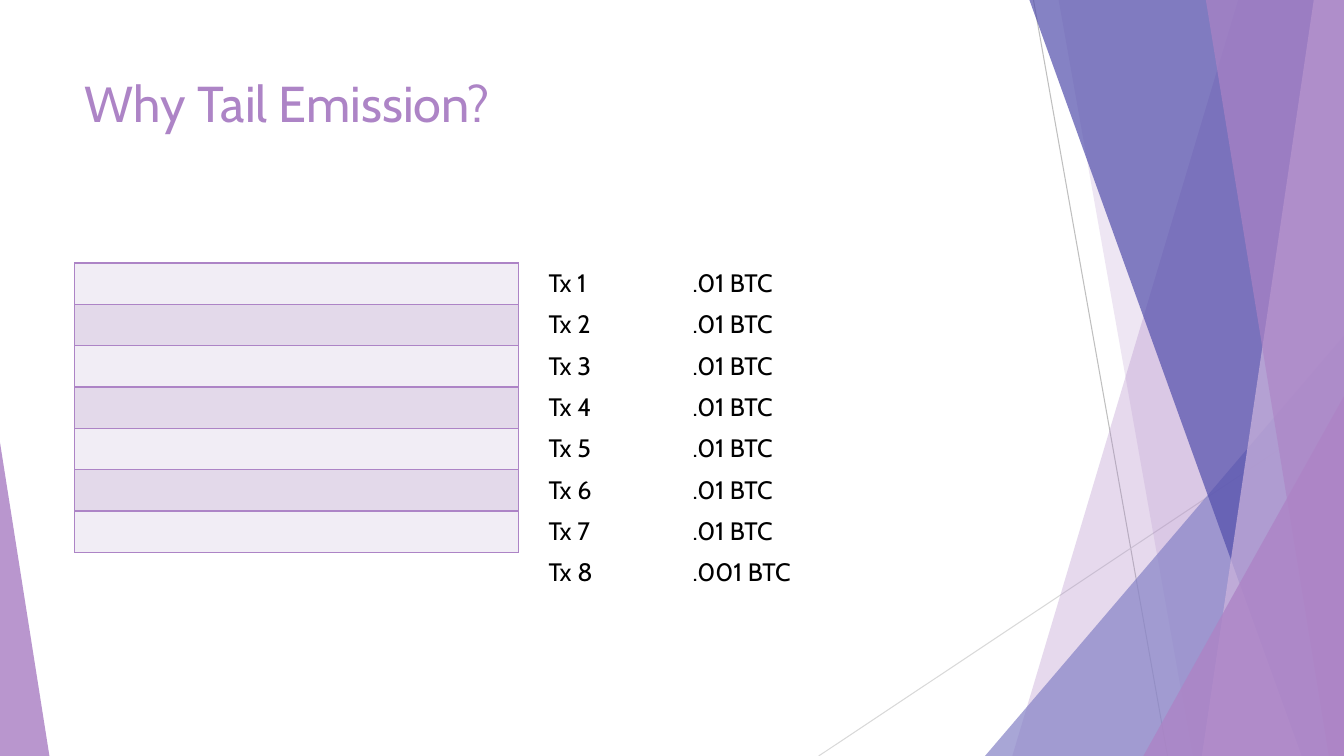
from dataclasses import dataclass

from lxml import etree
from pptx import Presentation
from pptx.dml.color import RGBColor
from pptx.enum import shapes, text
from pptx.oxml import ns
from pptx.util import Inches, Pt

FONT = "Cabin"
ORCHID = RGBColor(0xAD, 0x84, 0xC6)
PALE_ORCHID = RGBColor(0xCE, 0xB5, 0xDD)
PERIWINKLE = RGBColor(0x87, 0x84, 0xC7)
INDIGO = RGBColor(0x52, 0x4E, 0xAB)
GREY = RGBColor(0xBF, 0xBF, 0xBF)
LIGHT_GREY = RGBColor(0xD9, 0xD9, 0xD9)
BAND_LIGHT = RGBColor(0xF1, 0xED, 0xF5)
BAND_DARK = RGBColor(0xE3, 0xD9, 0xEA)
BLACK = RGBColor(0, 0, 0)

WIDTH, HEIGHT = 13.33, 7.5
ROW_HEIGHT = 0.41
TABLES_TOP = 2.61
BLOCK_ROWS = 7
FEES = [".01 BTC"] * 7 + [".001 BTC"]


@dataclass
class Ray:
    start: tuple[float, float]
    end: tuple[float, float]
    color: RGBColor


@dataclass
class Facet:
    """Band from the slide's right edge to a slanted left edge."""
    top_x: float
    bottom_x: float
    color: RGBColor
    opacity: int


@dataclass
class Corner:
    """Right triangle standing on the slide's bottom edge."""
    left: float
    top: float
    width: float
    apex: float
    color: RGBColor
    opacity: int


RAYS = [
    Ray((10.25, 0), (11.58, HEIGHT), GREY),
    Ray((WIDTH, 4.03), (8.12, HEIGHT), LIGHT_GREY),
]
PANELS = [
    Facet(12.28, 10.04, ORCHID, 30),
    Facet(10.5, 11.83, ORCHID, 20),
    Corner(9.77, 3.33, 3.56, 1, PERIWINKLE, 72),
    Facet(10.21, 12.91, INDIGO, 70),
    Facet(13.03, 11.92, PALE_ORCHID, 70),
    Facet(11.96, 13.18, ORCHID, 65),
    Corner(11.34, 3.93, 1.99, 1, ORCHID, 80),
    Corner(0, 4.39, 0.49, 0, ORCHID, 85),
]


def draw_ray(slide, ray: Ray) -> None:
    line = slide.shapes.add_connector(
        shapes.MSO_CONNECTOR.STRAIGHT,
        *(Inches(v) for v in ray.start + ray.end))
    line.line.color.rgb = ray.color
    line.line.width = Pt(0.75)
    etree.SubElement(line.element.spPr, ns.qn("a:effectLst"))


def draw_panel(slide, panel: Facet | Corner) -> None:
    if isinstance(panel, Facet):
        outline = slide.shapes.build_freeform(
            Inches(panel.top_x), 0, scale=1.0)
        corners = [(WIDTH, 0), (WIDTH, HEIGHT), (panel.bottom_x, HEIGHT)]
        outline.add_line_segments([(Inches(x), Inches(y)) for x, y in corners])
        shape = outline.convert_to_shape()
    else:
        shape = slide.shapes.add_shape(
            shapes.MSO_SHAPE.ISOSCELES_TRIANGLE,
            Inches(panel.left), Inches(panel.top),
            Inches(panel.width), Inches(HEIGHT - panel.top))
        shape.adjustments[0] = panel.apex
    shape.shadow.inherit = False
    shape.line.fill.background()
    shape.fill.solid()
    shape.fill.fore_color.rgb = panel.color
    color = shape.element.spPr.find(ns.qn("a:solidFill"))[0]
    etree.SubElement(color, ns.qn("a:alpha"), val=str(panel.opacity * 1000))


def add_run(paragraph, words: str, size: int, color: RGBColor) -> None:
    run = paragraph.add_run()
    run.text = words
    run.font.name = FONT
    run.font.size = Pt(size)
    run.font.color.rgb = color


def add_plain_table(slide, rows: int, left: float, widths: list[float]):
    table = slide.shapes.add_table(
        rows, len(widths), Inches(left), Inches(TABLES_TOP),
        Inches(sum(widths)), Inches(rows * ROW_HEIGHT)).table
    table.first_row = table.horz_banding = False
    for column, width in zip(table.columns, widths):
        column.width = Inches(width)
    for row in table.rows:
        row.height = Inches(ROW_HEIGHT)
    return table


def add_borders(cell, color: RGBColor) -> None:
    properties = cell._tc.get_or_add_tcPr()
    for side in ("lnL", "lnR", "lnT", "lnB"):
        border = etree.SubElement(
            properties, ns.qn(f"a:{side}"), w=str(Pt(1)))
        fill = etree.SubElement(border, ns.qn("a:solidFill"))
        etree.SubElement(fill, ns.qn("a:srgbClr"), val=str(color))


def main() -> None:
    deck = Presentation()
    deck.slide_width, deck.slide_height = Inches(WIDTH), Inches(HEIGHT)
    slide = deck.slides.add_slide(deck.slide_layouts[5])

    # Faceted background
    for ray in RAYS:
        draw_ray(slide, ray)
    for panel in PANELS:
        draw_panel(slide, panel)

    # Title, in front of the background
    title = slide.shapes.title
    slide.shapes.element.append(title.element)
    title.left, title.top = Inches(0.74), Inches(0.67)
    title.width, title.height = Inches(9.4), Inches(1.44)
    title.text_frame.vertical_anchor = text.MSO_ANCHOR.TOP
    heading = title.text_frame.paragraphs[0]
    heading.alignment = text.PP_ALIGN.LEFT
    add_run(heading, "Why Tail Emission?", 36, ORCHID)

    # Block with seven empty slots
    block = add_plain_table(slide, BLOCK_ROWS, 0.74, [4.4])
    for index in range(BLOCK_ROWS):
        slot = block.cell(index, 0)
        add_borders(slot, ORCHID)
        slot.fill.solid()
        slot.fill.fore_color.rgb = BAND_DARK if index % 2 else BAND_LIGHT

    # Waiting transactions and their fees
    transactions = add_plain_table(slide, len(FEES), 5.34, [1.43, 1.43])
    for index, fee in enumerate(FEES):
        for column, words in enumerate((f"Tx {index + 1}", fee)):
            cell = transactions.cell(index, column)
            cell.fill.background()
            add_run(cell.text_frame.paragraphs[0], words, 18, BLACK)

    deck.save("out.pptx")


if __name__ == "__main__":
    main()
